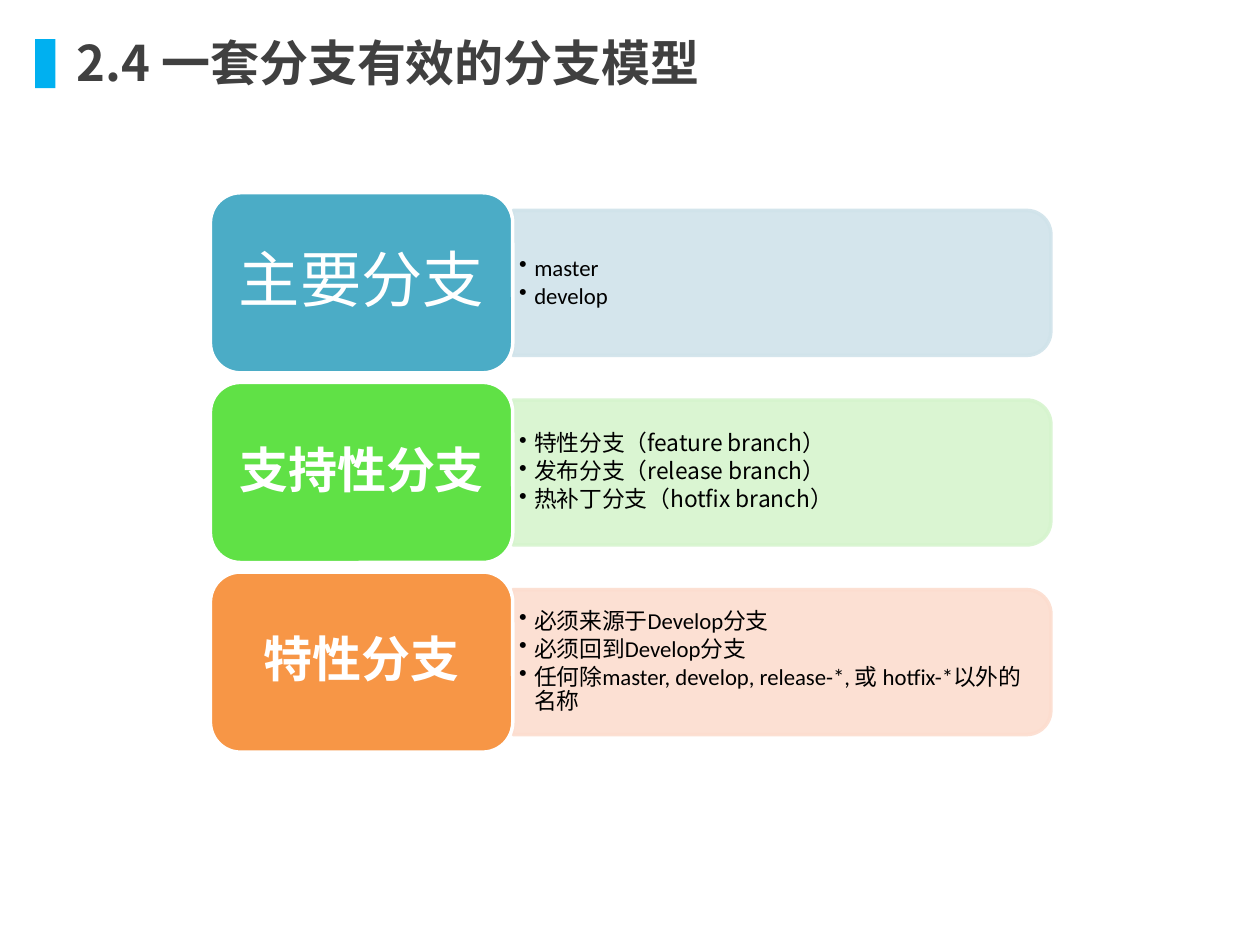
from lxml.etree import SubElement
from pptx import Presentation
from pptx.dml.color import RGBColor
from pptx.enum.shapes import MSO_SHAPE
from pptx.enum.text import MSO_ANCHOR, PP_ALIGN
from pptx.oxml.ns import qn
from pptx.util import Inches, Pt

NOTO, LATIN = "Noto Sans CJK SC", "Calibri"
TITLE = "2.4 一套分支有效的分支模型"
ROWS = [
    ("主要分支", 35, False, "4BACC6", "D0E3EA", LATIN,
     ["master", "develop"]),
    ("支持性分支", 28, True, "60E146", "D6F4CE", NOTO,
     ["特性分支（feature branch）", "发布分支（release branch）",
      "热补丁分支（hotfix branch）"]),
    ("特性分支", 28, True, "F79646", "FCDDCF", LATIN,
     ["必须来源于Develop分支", "必须回到Develop分支",
      "任何除master, develop, release-*, 或 hotfix-*以外的名称"]),
]
LEFT, TOP, STEP = 1.67, 1.53, 1.505
WIDE, HIGH = 2.4, 1.43
LONG, THICK = 4.27, 1.15


def color(code):
    """Turn a hex string into a colour."""
    return RGBColor.from_string(code)


def add_box(slide, kind, place, fill, line=None):
    """Add a filled shape with an optional outline."""
    box = slide.shapes.add_shape(kind, *map(Inches, place))
    box.shadow.inherit = False
    box.fill.solid()
    box.fill.fore_color.rgb = color(fill)
    if line:
        box.line.color.rgb = color(line)
        box.line.width = Pt(2)
    else:
        box.line.fill.background()
    return box


def add_text(slide, place):
    """Add an empty text box."""
    return slide.shapes.add_textbox(*map(Inches, place)).text_frame


def set_frame(frame, side, edge):
    """Wrap and centre a frame's text, with the given margins."""
    frame.word_wrap = True
    frame.vertical_anchor = MSO_ANCHOR.MIDDLE
    frame.margin_left = frame.margin_right = Inches(side)
    frame.margin_top = frame.margin_bottom = Inches(edge)


def add_run(para, text, size, name, code, bold=False):
    """Add one styled run with Latin and East Asian fonts."""
    run = para.add_run()
    run.text = text
    font = run.font
    font.size, font.name, font.bold = Pt(size), name, bold
    font.color.rgb = color(code)
    SubElement(run._r.get_or_add_rPr(), qn("a:ea"), typeface=NOTO)


def add_list(frame, items, name):
    """Fill a frame with bulleted lines."""
    for num, item in enumerate(items):
        para = frame.add_paragraph() if num else frame.paragraphs[0]
        para.level = 1
        para.line_spacing = 0.9
        para.space_after = Pt(2)
        props = para._p.get_or_add_pPr()
        props.set("marL", str(Inches(0.12)))
        props.set("indent", str(-Inches(0.12)))
        SubElement(props, qn("a:buChar"), char="•")
        add_run(para, item, 13, name, "000000")


def add_row(slide, top, row):
    """Draw a label, its panel and its list."""
    label, size, bold, fill, pale, name, items = row
    mid = top + HIGH / 2
    edge = LEFT + WIDE
    place = (edge + (LONG - THICK) / 2, mid - LONG / 2, THICK, LONG)
    panel = add_box(slide, MSO_SHAPE.ROUND_2_SAME_RECTANGLE, place, pale, pale)
    panel.rotation = 90
    for tint in panel._element.spPr.iter(qn("a:srgbClr")):
        SubElement(tint, qn("a:alpha"), val="90000")

    frame = add_text(slide, (edge, mid - 0.515, 4.21, 1.03))
    set_frame(frame, 0.05, 0.03)
    add_list(frame, items, name)

    place = (LEFT, top, WIDE, HIGH)
    box = add_box(slide, MSO_SHAPE.ROUNDED_RECTANGLE, place, fill, "FFFFFF")
    set_frame(box.text_frame, 0.12, 0.06)
    para = box.text_frame.paragraphs[0]
    para.alignment = PP_ALIGN.CENTER
    para.line_spacing = 0.9
    add_run(para, label, size, LATIN, "FFFFFF", bold)


def main():
    """Build and save the slide."""
    deck = Presentation()
    deck.slide_width, deck.slide_height = Inches(10), Inches(7.5)
    slide = deck.slides.add_slide(deck.slide_layouts[6])
    frame = add_text(slide, (0.51, 0.21, 5.24, 0.57))
    frame.word_wrap = False
    add_run(frame.paragraphs[0], TITLE, 28, NOTO, "404040", True)
    add_box(slide, MSO_SHAPE.RECTANGLE, (0.28, 0.31, 0.16, 0.39), "00B0F0")
    for num, row in enumerate(ROWS):
        add_row(slide, TOP + num * STEP, row)
    deck.save("out.pptx")


if __name__ == "__main__":
    main()
